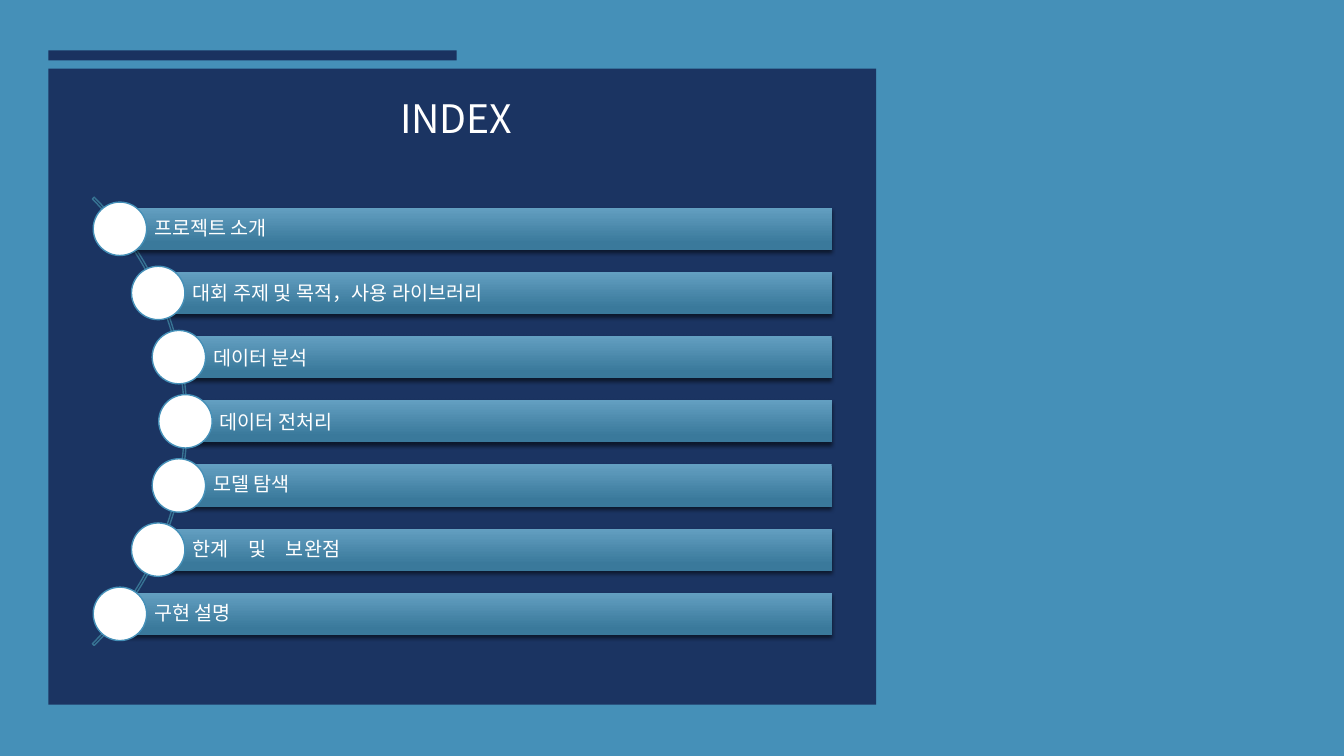
import math

from lxml import etree
from pptx import Presentation
from pptx.dml.color import RGBColor
from pptx.enum.shapes import MSO_SHAPE
from pptx.enum.text import MSO_ANCHOR, PP_ALIGN
from pptx.oxml import parse_xml
from pptx.oxml.ns import qn
from pptx.util import Inches, Pt

RECTANGLE, OVAL, BLOCK_ARC = MSO_SHAPE.RECTANGLE, MSO_SHAPE.OVAL, MSO_SHAPE.BLOCK_ARC
LEFT, CENTER = PP_ALIGN.LEFT, PP_ALIGN.CENTER
MIDDLE = MSO_ANCHOR.MIDDLE

SKY = RGBColor(0x45, 0x90, 0xB8)
NAVY = RGBColor(0x1A, 0x32, 0x60)
WHITE = RGBColor(0xFF, 0xFF, 0xFF)
ARC_BLUE = RGBColor(0x37, 0x73, 0x93)
BAR_TOP = RGBColor(0x63, 0x9F, 0xC1)
BAR_BOTTOM = RGBColor(0x3A, 0x79, 0x9B)

SHADOW = (
    '<a:outerShdw xmlns:a="http://schemas.openxmlformats.org/drawingml/2006/main"'
    ' blurRad="38100" dist="25400" dir="5400000" rotWithShape="0">'
    '<a:srgbClr val="000000"><a:alpha val="55000"/></a:srgbClr></a:outerShdw>'
)

# Topic and line spacing
TOPICS = [
    ("프로젝트 소개", 0.9),
    ("대회 주제 및 목적，사용 라이브러리", 1.0),
    ("데이터 분석", 1.0),
    ("데이터 전처리", 1.0),
    ("모델 탐색", 0.9),
    ("한계　및　보완점", 0.9),
    ("구현 설명", 0.9),
]
FIRST_Y, LAST_Y = 2.27, 6.09
ARC_X, ARC_Y = -1.29, (FIRST_Y + LAST_Y) / 2
ARC_SIZE, DOT_RADIUS_FROM_ARC = 6.29, 3.13
BAR_RIGHT, BAR_HEIGHT, DOT_SIZE = 8.25, 0.42, 0.53


class IndexSlide:
    font_name = "Noto Sans CJK KR"

    def __init__(self, presentation):
        self.slide = presentation.slides.add_slide(presentation.slide_layouts[5])
        background = self.slide.background.fill
        background.solid()
        background.fore_color.rgb = SKY

    def set_text(self, shape, text, size, align=LEFT, insets=(0.1, 0.05, 0.1, 0.05),
                 spacing=1.0):
        frame = shape.text_frame
        frame.word_wrap = True
        frame.vertical_anchor = MIDDLE
        (frame.margin_left, frame.margin_top,
         frame.margin_right, frame.margin_bottom) = map(Inches, insets)
        paragraph = frame.paragraphs[0]
        paragraph.alignment = align
        paragraph.line_spacing = spacing
        paragraph.space_before = Pt(0)
        run = paragraph.add_run()
        run.text = text
        run.font.size = Pt(size)
        run.font.color.rgb = WHITE
        run.font.name = self.font_name
        properties = run._r.get_or_add_rPr()
        etree.SubElement(properties, qn("a:ea")).set("typeface", self.font_name)

    def shape(self, kind, left, top, width, height, fill=None, line=None):
        shape = self.slide.shapes.add_shape(
            kind, Inches(left), Inches(top), Inches(width), Inches(height))
        shape.shadow.inherit = False
        if fill is None:
            shape.fill.background()
        else:
            shape.fill.solid()
            shape.fill.fore_color.rgb = fill
        if line is None:
            shape.line.fill.background()
        else:
            shape.line.color.rgb = line
            shape.line.width = Pt(1)
        return shape

    def panel(self):
        panel = self.shape(RECTANGLE, 0.48, 0.68, 8.21, 6.31, NAVY)
        color = panel.element.spPr.find(qn("a:solidFill"))[0]
        etree.SubElement(color, qn("a:alpha")).set("val", "97000")
        self.shape(RECTANGLE, 0.48, 0.5, 4.05, 0.1, NAVY)

    def title(self, text):
        title = self.slide.shapes.title
        title.left, title.top = Inches(0.58), Inches(0.55)
        title.width, title.height = Inches(7.89), Inches(1.23)
        self.set_text(title, text, 28, align=CENTER)
        # Bring the title in front of the panel
        title.element.getparent().append(title.element)

    def arc(self):
        radius = ARC_SIZE / 2
        arc = self.shape(BLOCK_ARC, ARC_X - radius, ARC_Y - radius,
                         ARC_SIZE, ARC_SIZE, line=ARC_BLUE)
        for index, value in enumerate((189, 27, 0.004)):
            arc.adjustments[index] = value

    def bar(self, text, left, center_y, spacing):
        bar = self.shape(RECTANGLE, left, center_y - BAR_HEIGHT / 2,
                         BAR_RIGHT - left, BAR_HEIGHT)
        bar.fill.gradient()
        bar.fill.gradient_angle = 270
        stops = bar.fill.gradient_stops
        for stop, position, color in zip(stops, (0, 0.84), (BAR_TOP, BAR_BOTTOM)):
            stop.position = position
            stop.color.rgb = color
        bar.element.spPr.find(qn("a:effectLst")).append(parse_xml(SHADOW))
        self.set_text(bar, text, 14, insets=(0.34, 0.04, 0.04, 0.04), spacing=spacing)

    def dot(self, center_x, center_y):
        self.shape(OVAL, center_x - DOT_SIZE / 2, center_y - DOT_SIZE / 2,
                   DOT_SIZE, DOT_SIZE, WHITE, SKY)

    def topics(self):
        """Place the bars at equal steps, each starting from its dot on the arc."""
        self.arc()
        step = (LAST_Y - FIRST_Y) / (len(TOPICS) - 1)
        for index, (text, spacing) in enumerate(TOPICS):
            y = FIRST_Y + index * step
            x = ARC_X + math.sqrt(DOT_RADIUS_FROM_ARC ** 2 - (y - ARC_Y) ** 2)
            self.bar(text, x, y, spacing)
            self.dot(x, y)


def main():
    presentation = Presentation()
    presentation.slide_width = Inches(13.33)
    presentation.slide_height = Inches(7.5)
    index_slide = IndexSlide(presentation)
    index_slide.panel()
    index_slide.title("INDEX")
    index_slide.topics()
    presentation.save("out.pptx")


if __name__ == "__main__":
    main()
